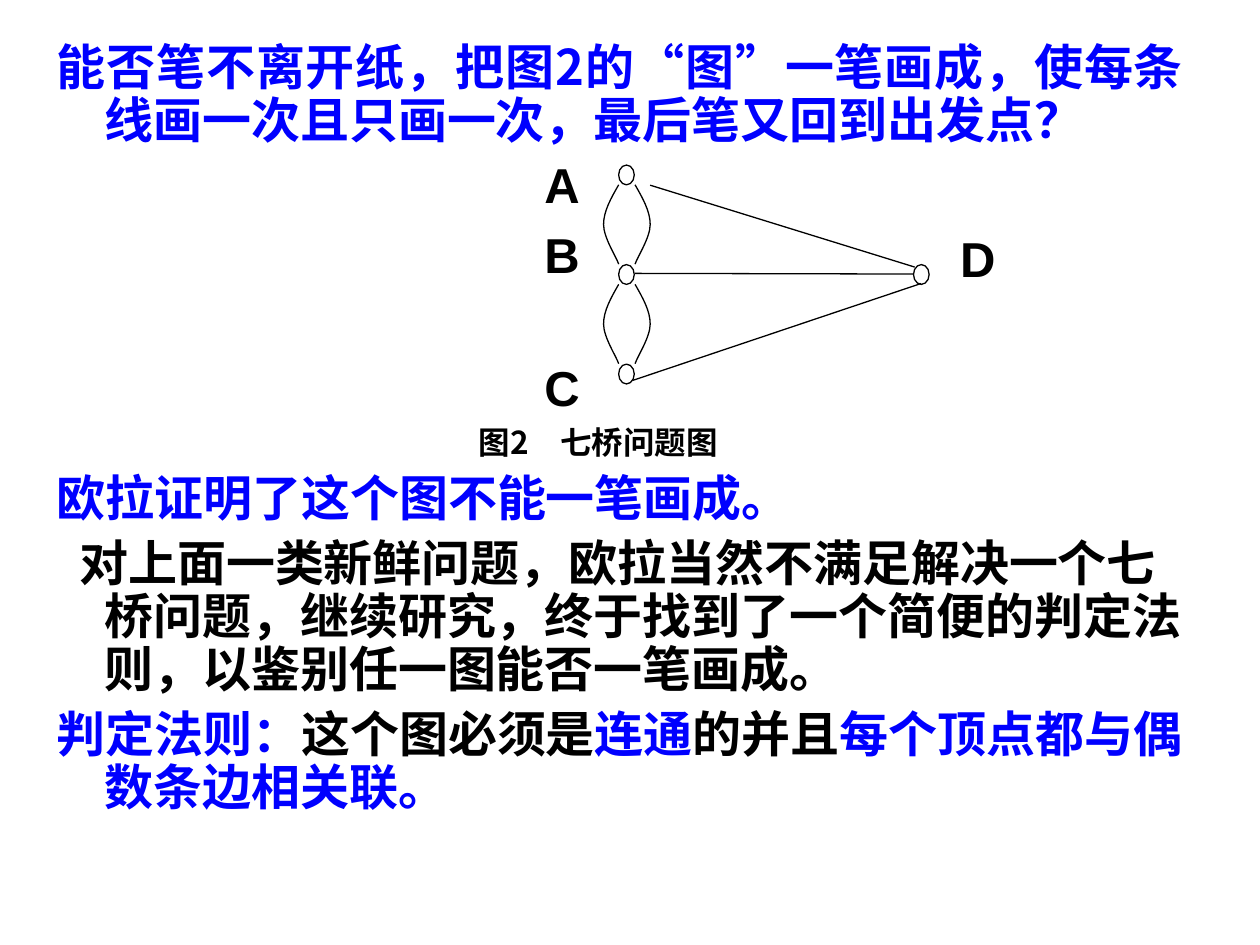
from dataclasses import dataclass

from lxml.etree import SubElement
from pptx import Presentation
from pptx.dml.color import RGBColor as Color
from pptx.enum.shapes import MSO_CONNECTOR as Connector, MSO_SHAPE as Preset
from pptx.enum.text import MSO_ANCHOR as Anchor, MSO_AUTO_SIZE as AutoSize, PP_ALIGN as Align
from pptx.oxml.ns import qn
from pptx.util import Inches, Pt


@dataclass(frozen=True)
class Theme:
    blue: Color = Color(0, 0, 255)
    black: Color = Color(0, 0, 0)
    white: Color = Color(255, 255, 255)
    chinese: str = "Noto Sans CJK SC"
    latin: str = "Arial"
    body_size: int = 28
    caption_size: int = 18
    line_width: float = 0.75
    line_spacing: float = 0.9
    space_before: float = 7
    hanging: float = 0.38


THEME = Theme()
COLUMNS, ROWS = 100, 75
LABEL_INDENT = 3.87
CAPTION_INDENT = 3.35


def write_text(paragraph, text, color=THEME.black, size=THEME.body_size, font=THEME.chinese):
    run = paragraph.add_run()
    run.text = text
    run.font.size = Pt(size)
    run.font.bold = True
    run.font.color.rgb = color
    run.font.name = font
    SubElement(run.font._element, qn("a:ea"), typeface=THEME.chinese)


class DiagramSlide:
    def __init__(self, presentation, theme):
        self.theme = theme
        self.slide = presentation.slides.add_slide(presentation.slide_layouts[1])
        title = self.slide.shapes.title
        title._element.getparent().remove(title._element)
        self.column = presentation.slide_width / COLUMNS
        self.row = presentation.slide_height / ROWS
        self.body = None
        self.group = None

    def point(self, column, row):
        return round(column * self.column), round(row * self.row)

    def add_body(self, column, row, width, height):
        shape = self.slide.placeholders[1]
        shape.left, shape.top = self.point(column, row)
        shape.width, shape.height = self.point(width, height)
        self.body = shape.text_frame
        self.body.auto_size = AutoSize.NONE
        self.body.vertical_anchor = Anchor.TOP
        self.body.word_wrap = True

    def add_paragraph(self, *runs, margin=THEME.hanging, indent=-THEME.hanging,
                      before=THEME.space_before, align=Align.LEFT):
        paragraph = self.body.paragraphs[0]
        if paragraph.runs:
            paragraph = self.body.add_paragraph()
        paragraph.alignment = align
        paragraph.line_spacing = self.theme.line_spacing
        paragraph.space_before = Pt(before)
        paragraph.space_after = Pt(0)
        properties = paragraph._p.get_or_add_pPr()
        properties.set("marL", str(Inches(margin)))
        properties.set("indent", str(Inches(indent)))
        SubElement(properties, qn("a:buNone"))
        for text, style in runs:
            write_text(paragraph, text, **style)

    def add_label(self, label, before=THEME.space_before):
        self.add_paragraph((label, {"font": self.theme.latin}),
                           margin=LABEL_INDENT, indent=0, before=before)

    def add_side_label(self, label, column, row):
        shape = self.slide.shapes.add_textbox(*self.point(column, row), *self.point(4, 4.5))
        frame = shape.text_frame
        frame.word_wrap = True
        frame.margin_left = frame.margin_right = frame.margin_top = frame.margin_bottom = 0
        write_text(frame.paragraphs[0], label, font=self.theme.latin)

    def start_diagram(self):
        self.group = self.slide.shapes.add_group_shape()

    def style_line(self, shape):
        shape.line.color.rgb = self.theme.black
        shape.line.width = Pt(self.theme.line_width)

    def add_vertex(self, column, row):
        shape = self.group.shapes.add_shape(
            Preset.FLOWCHART_CONNECTOR, *self.point(column, row), *self.point(1.24, 1.57))
        shape.shadow.inherit = False
        shape.fill.solid()
        shape.fill.fore_color.rgb = self.theme.white
        self.style_line(shape)

    def add_curve(self, points):
        start, *rest = [self.point(*point) for point in points]
        builder = self.group.shapes.build_freeform(*start)
        builder.add_line_segments(rest, close=False)
        shape = builder.convert_to_shape()
        shape.shadow.inherit = False
        shape.fill.background()
        self.style_line(shape)
        outline = shape._element.find(".//" + qn("a:path"))
        segments = outline.findall(qn("a:lnTo"))
        for first in range(0, len(segments), 3):
            curve = SubElement(outline, qn("a:cubicBezTo"))
            for segment in segments[first:first + 3]:
                curve.append(segment[0])
                outline.remove(segment)

    def add_edge(self, start, end):
        connector = self.group.shapes.add_connector(
            Connector.STRAIGHT, *self.point(*start), *self.point(*end))
        self.style_line(connector)
        SubElement(connector._element.spPr, qn("a:effectLst"))


def main():
    presentation = Presentation()
    presentation.slide_width, presentation.slide_height = Inches(10), Inches(7.5)
    page = DiagramSlide(presentation, THEME)
    blue, black = {"color": THEME.blue}, {"color": THEME.black}
    quote = {"color": THEME.blue, "font": THEME.latin}

    page.add_body(3.5, 2.9, 91.4, 63)
    page.add_paragraph(
        ("能否笔不离开纸，把图2的", blue), ("“", quote), ("图", blue), ("”", quote),
        ("一笔画成，使每条线画一次且只画一次，最后笔又回到出发点？", blue),
        align=Align.JUSTIFY)
    page.add_label("A")
    page.add_label("B", before=10)
    page.add_label("C", before=45.5)
    page.add_paragraph(("图2　七桥问题图", {"size": THEME.caption_size}),
                       margin=CAPTION_INDENT, indent=0, before=6)
    page.add_paragraph(("欧拉证明了这个图不能一笔画成。", blue))
    page.add_paragraph(
        ("对上面一类新鲜问题，欧拉当然不满足解决一个七桥问题，继续研究，"
         "终于找到了一个简便的判定法则，以鉴别任一图能否一笔画成。", black), indent=-0.2)
    page.add_paragraph(
        ("判定法则：", blue), ("这个图必须是", black), ("连通", blue),
        ("的并且", black), ("每个顶点都与偶数条边相关联。", blue))
    page.add_side_label("D", 76.2, 18.15)

    page.start_diagram()
    top, step, axis = 13.1, 7.9, 49.75
    for index in range(3):
        page.add_vertex(49.1, top + index * step)
    page.add_vertex(72.5, top + step)
    bridge = [(0.65, 0), (1.25, 1.05), (1.85, 2.1), (1.85, 3.15),
              (1.85, 4.2), (0.85, 5.7), (0.65, 6.3)]
    for side in (-1, 1):
        for index in range(2):
            start = top + 1.57 + index * step
            page.add_curve([(axis + side * x, start + y) for x, y in bridge])
    for start, end in [((50.4, 21.7), (72.5, 21.75)),
                       ((51.6, 14.7), (72.6, 21.2)),
                       ((50.2, 30.2), (73.1, 22.5))]:
        page.add_edge(start, end)
    presentation.save("out.pptx")


if __name__ == "__main__":
    main()
